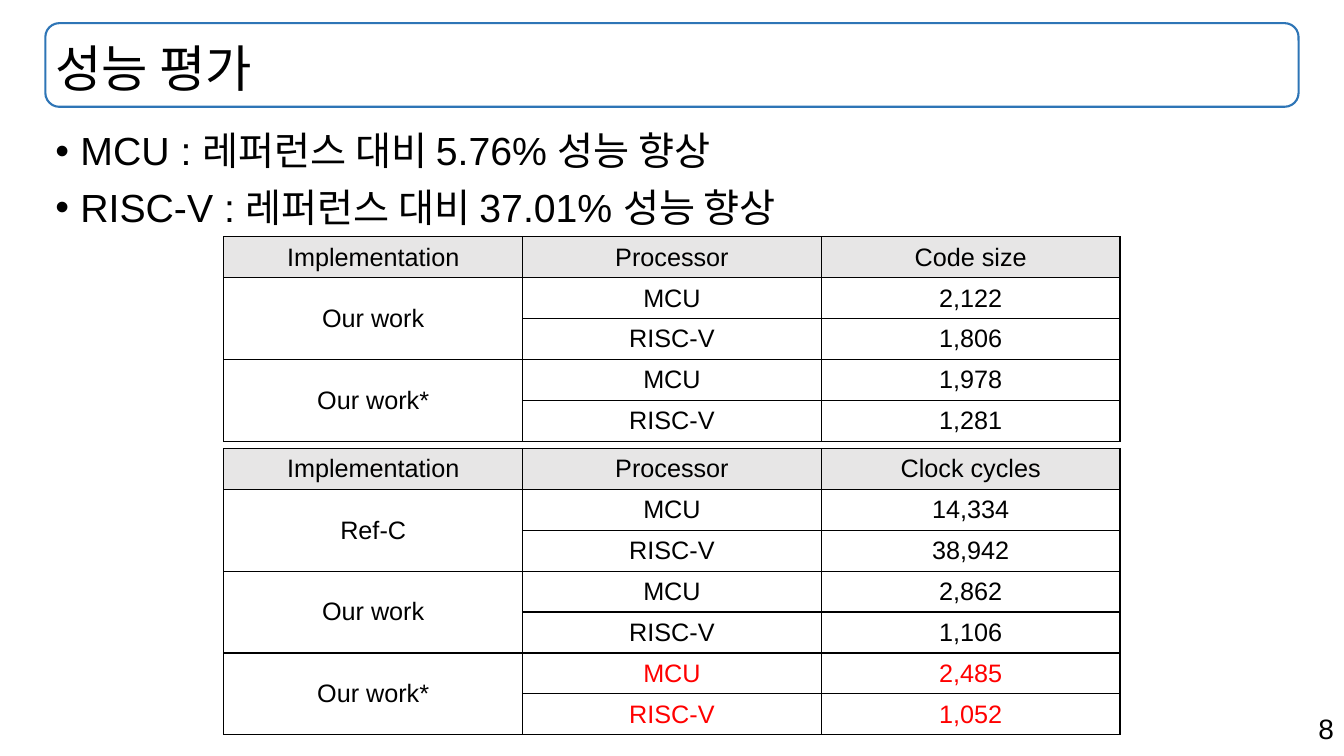
import pptx
import pptx.util
import pptx.dml.color
import pptx.enum.shapes
import pptx.enum.text
import pptx.oxml
import pptx.oxml.ns
import lxml.etree

Inches = pptx.util.Inches
Align = pptx.enum.text.PP_ALIGN
Anchor = pptx.enum.text.MSO_ANCHOR

# Content
TITLE = "성능 평가"
BULLETS = [
    "MCU : 레퍼런스 대비 5.76% 성능 향상",
    "RISC-V : 레퍼런스 대비 37.01% 성능 향상",
]
PAGE_NUMBER = "8"
PROCESSORS = ["MCU", "RISC-V"]
# Each group: implementation, one value per processor, text colour of the values
TABLES = [
    {"top": 4.45, "height": 2.84, "measure": "Clock cycles", "groups": [
        ("Ref-C", ["14,334", "38,942"], "text"),
        ("Our work", ["2,862", "1,106"], "text"),
        ("Our work*", ["2,485", "1,052"], "highlight"),
    ]},
    {"top": 2.35, "height": 2.03, "measure": "Code size", "groups": [
        ("Our work", ["2,122", "1,806"], "text"),
        ("Our work*", ["1,978", "1,281"], "text"),
    ]},
]

COLORS = {"text": "000000", "highlight": "FF0000", "header": "E7E6E6",
          "frame": "2E75B6", "border": "000000"}
FONT = "Arial"
LEFT, WIDTH = 0.45, 12.43
TABLE_LEFT, TABLE_WIDTH = 2.22, 8.89


def rgb(name):
    return pptx.dml.color.RGBColor.from_string(COLORS[name])


def format_paragraph(paragraph, text, size, color="text", **layout):
    paragraph.text = text
    for name, value in layout.items():
        setattr(paragraph, name, value)
    font = {"name": FONT, "size": pptx.util.Pt(size), "bold": False}
    for name, value in font.items():
        setattr(paragraph.font, name, value)
    paragraph.font.color.rgb = rgb(color)


def add_text_frame(slide, left, top, width, height, anchor=Anchor.TOP):
    box = slide.shapes.add_textbox(*map(Inches, (left, top, width, height)))
    box.text_frame.word_wrap = True
    box.text_frame.vertical_anchor = anchor
    return box.text_frame


def add_bullet(paragraph):
    properties = paragraph._p.get_or_add_pPr()
    properties.set("marL", str(Inches(0.25)))
    properties.set("indent", str(-Inches(0.25)))
    for tag, name, value in (("a:buFont", "typeface", FONT), ("a:buChar", "char", "•")):
        lxml.etree.SubElement(properties, pptx.oxml.ns.qn(tag)).set(name, value)


def add_borders(cell):
    properties = cell._tc.get_or_add_tcPr()
    for index, side in enumerate(("lnL", "lnR", "lnT", "lnB")):
        properties.insert(index, pptx.oxml.parse_xml(
            f'<a:{side} {pptx.oxml.ns.nsdecls("a")} w="{pptx.util.Pt(1)}"><a:solidFill>'
            f'<a:srgbClr val="{COLORS["border"]}"/></a:solidFill></a:{side}>'))


def add_result_table(slide, top, height, measure, groups):
    rows = [[(name, "text") for name in ("Implementation", "Processor", measure)]]
    for implementation, values, color in groups:
        for index, (processor, value) in enumerate(zip(PROCESSORS, values)):
            label = implementation if index == 0 else ""
            rows.append([(label, "text"), (processor, color), (value, color)])

    # Columns and rows share the table size equally
    table = slide.shapes.add_table(
        len(rows), len(rows[0]),
        *map(Inches, (TABLE_LEFT, top, TABLE_WIDTH, height))).table
    table.first_row = table.horz_banding = False
    for row_index, row in enumerate(rows):
        for column_index, (text, color) in enumerate(row):
            cell = table.cell(row_index, column_index)
            cell.vertical_anchor = Anchor.MIDDLE
            format_paragraph(cell.text_frame.paragraphs[0], text, 18, color,
                             alignment=Align.CENTER)
            if row_index == 0:
                cell.fill.solid()
                cell.fill.fore_color.rgb = rgb("header")
            else:
                cell.fill.background()
            add_borders(cell)

    # One implementation cell spans its processors
    span = len(PROCESSORS)
    for first in range(1, len(rows), span):
        table.cell(first, 0).merge(table.cell(first + span - 1, 0))


def main():
    presentation = pptx.Presentation()
    presentation.slide_width = Inches(13.33)
    presentation.slide_height = Inches(7.5)
    slide = presentation.slides.add_slide(presentation.slide_layouts[6])

    # Page number
    frame = add_text_frame(slide, 9.43, 7.01, 3.9, 0.44)
    format_paragraph(frame.paragraphs[0], PAGE_NUMBER, 20, alignment=Align.RIGHT)

    # Title with its frame
    shape = slide.shapes.add_shape(
        pptx.enum.shapes.MSO_SHAPE.ROUNDED_RECTANGLE,
        *map(Inches, (LEFT, 0.23, WIDTH, 0.83)))
    shape.shadow.inherit = False
    shape.fill.background()
    shape.line.color.rgb = rgb("frame")
    shape.line.width = pptx.util.Pt(1.5)
    frame = add_text_frame(slide, LEFT, 0.29, WIDTH, 0.83, Anchor.MIDDLE)
    format_paragraph(frame.paragraphs[0], TITLE, 36, line_spacing=0.9)

    # Bullets
    frame = add_text_frame(slide, LEFT, 1.26, WIDTH, 5.53)
    for index, text in enumerate(BULLETS):
        paragraph = frame.add_paragraph() if index else frame.paragraphs[0]
        add_bullet(paragraph)
        format_paragraph(paragraph, text, 28, line_spacing=0.9,
                         space_before=pptx.util.Pt(10 if index else 0))

    # Result tables
    for result in TABLES:
        add_result_table(slide, **result)

    presentation.save("out.pptx")


if __name__ == "__main__":
    main()
